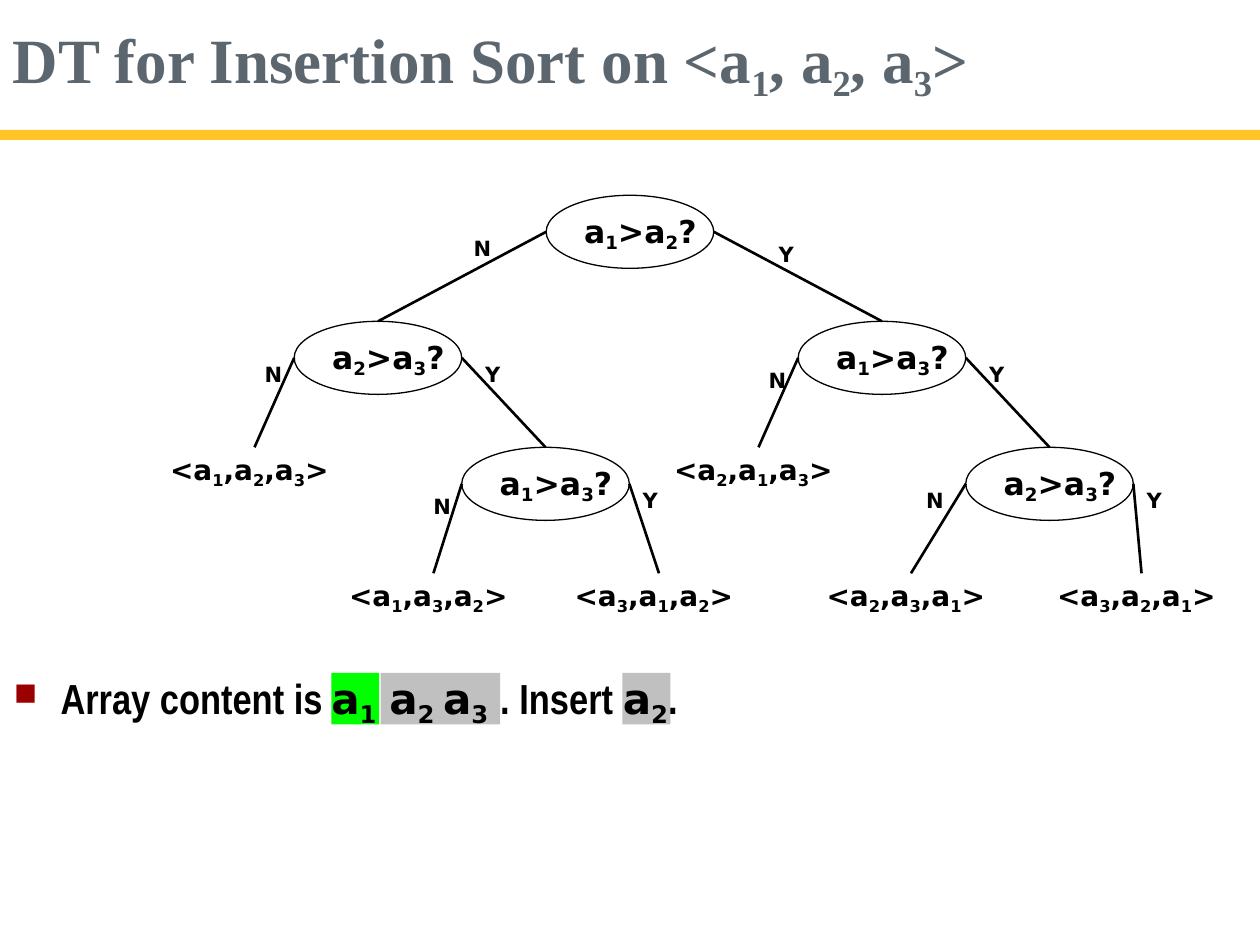
import pptx
import pptx.util
import pptx.dml.color
import pptx.enum.shapes
import pptx.oxml
import pptx.oxml.ns

Inches = pptx.util.Inches
SHAPES = pptx.enum.shapes.MSO_SHAPE
COLORS = {
    "title": "5C666F", "rule": "FFC527", "text": "000000",
    "bullet": "9A0000", "sorted": "00FF00", "unsorted": "C0C0C0",
}
SERIF, NARROW, SANS = "Times New Roman", "Arial Narrow", "DejaVu Sans"

# Square brackets mark subscripts.
TITLE = "DT for Insertion Sort on <a[1], a[2], a[3]>"
QUESTION = "a[{}]>a[{}]?"
ORDERING = "<a[{}],a[{}],a[{}]>"

COMPARISONS = {
    "root": ((1, 2), 5, 0),
    "left": ((2, 3), 3, 1),
    "right": ((1, 3), 7, 1),
    "left inner": ((1, 3), 4.33, 2),
    "right inner": ((2, 3), 8.33, 2),
}
ORDERINGS = {
    "123": (2.02, 2), "213": (6.02, 2),
    "132": (3.44, 3), "312": (5.23, 3), "231": (7.23, 3), "321": (9.06, 3),
}
BRANCHES = [
    ("root", "N", "left", 3.75, 1.86),
    ("root", "Y", "right", 6.17, 1.91),
    ("left", "N", "123", 2.09, 2.86),
    ("left", "Y", "left inner", 3.84, 2.86),
    ("right", "N", "213", 6.09, 2.91),
    ("right", "Y", "right inner", 7.84, 2.86),
    ("left inner", "N", "132", 3.43, 3.91),
    ("left inner", "Y", "312", 5.09, 3.86),
    ("right inner", "N", "231", 7.34, 3.86),
    ("right inner", "Y", "321", 9.09, 3.86),
]
NODE_W, NODE_H = 1.33, 0.58
LEAF_W = 1.39
FIRST_LEVEL = 1.55

deck = pptx.Presentation()
deck.slide_width, deck.slide_height = Inches(10), Inches(7.5)
slide = deck.slides.add_slide(deck.slide_layouts[6])


def rgb(name):
    return pptx.dml.color.RGBColor.from_string(COLORS[name])


def add_text(box, segments, size, color="text", indent=0.04):
    left, top, width, height = map(Inches, box)
    frame = slide.shapes.add_textbox(left, top, width, height).text_frame
    frame.word_wrap = True
    frame.margin_left = frame.margin_right = frame.margin_bottom = 0
    frame.margin_top = Inches(0.01)
    line = frame.paragraphs[0]
    line.space_before = pptx.util.Pt(1)
    line._p.get_or_add_pPr().set("marL", str(Inches(indent)))
    for content, font in segments:
        for position, piece in enumerate(content.replace("]", "[").split("[")):
            if not piece:
                continue
            run = line.add_run()
            run.text = piece
            run.font.name, run.font.size = font, pptx.util.Pt(size)
            run.font.bold = True
            run.font.color.rgb = rgb(color)
            if position % 2:
                run.font._element.set("baseline", "-21000")
    return line


def add_bullet(line, hanging):
    properties = line._p.get_or_add_pPr()
    properties.set("indent", str(-Inches(hanging)))
    ns = pptx.oxml.ns.nsdecls("a")
    for xml in (
        f'<a:buClr {ns}><a:srgbClr val="{COLORS["bullet"]}"/></a:buClr>',
        f'<a:buSzPct {ns} val="75000"/>',
        f'<a:buChar {ns} char="■"/>',
    ):
        properties.append(pptx.oxml.parse_xml(xml))


def add_block(box, color, kind=SHAPES.RECTANGLE):
    block = slide.shapes.add_shape(kind, *map(Inches, box))
    block.shadow.inherit = False
    block.fill.solid()
    block.fill.fore_color.rgb = rgb(color)
    block.line.fill.background()
    return block


def add_comparison(pair, center, level):
    left, top = center - NODE_W / 2, FIRST_LEVEL + level
    oval = add_block((left, top, NODE_W, NODE_H), "text", SHAPES.OVAL)
    oval.fill.background()
    oval.line.color.rgb = rgb("text")
    oval.line.width = pptx.util.Pt(0.75)
    add_text((left + 0.26, top + 0.12, 1.02, 0.33),
             [(QUESTION.format(*pair), SANS)], 18)
    return oval


def add_branch(parent, answer, child, label_x, label_y):
    _, center, level = COMPARISONS[parent]
    side = -1 if answer == "N" else 1
    start = center + side * NODE_W / 2, FIRST_LEVEL + level + NODE_H / 2
    end_x = ORDERINGS[child][0] if child in ORDERINGS else COMPARISONS[child][1]
    branch = slide.shapes.add_connector(
        pptx.enum.shapes.MSO_CONNECTOR.STRAIGHT,
        *map(Inches, (*start, end_x, FIRST_LEVEL + level + 1)))
    branch.line.color.rgb = rgb("text")
    branch.line.width = pptx.util.Pt(1.5)
    branch._element.spPr.append(
        pptx.oxml.parse_xml(f'<a:effectLst {pptx.oxml.ns.nsdecls("a")}/>'))
    if child in ovals:
        branch.end_connect(ovals[child], 0)
    add_text((label_x, label_y, 0.17, 0.23), [(answer, SANS)], 12, indent=0.01)


add_block((0, 1.03, 10, 0.08), "rule")
add_text((0.06, 0.15, 9.11, 0.63), [(TITLE, SERIF)], 36, "title")

ovals = {name: add_comparison(*node) for name, node in COMPARISONS.items()}
for order, (center, level) in ORDERINGS.items():
    add_text((center - 0.71, FIRST_LEVEL + level + 0.03, LEAF_W, 0.29),
             [(ORDERING.format(*order), SANS)], 16)
for branch_data in BRANCHES:
    add_branch(*branch_data)

for left, width, color in ((2.63, 0.38, "sorted"), (3.02, 0.95, "unsorted"),
                           (4.94, 0.38, "unsorted")):
    add_block((left, 5.34, width, 0.41), color)
array_line = add_text((0.09, 5.33, 2.52, 0.43),
                      [("Array content is", NARROW)], 24, indent=0.39)
add_bullet(array_line, 0.37)
add_text((2.63, 5.33, 0.39, 0.41), [("a[1]", SANS)], 24, indent=0)
add_text((3.02, 5.33, 0.95, 0.41), [("a[2 ]a[3]", SANS)], 24, indent=0.07)
add_text((3.93, 5.33, 1.51, 0.43),
         [(". Insert ", NARROW), ("a[2]", SANS), (".", NARROW)], 24)

deck.save("out.pptx")
